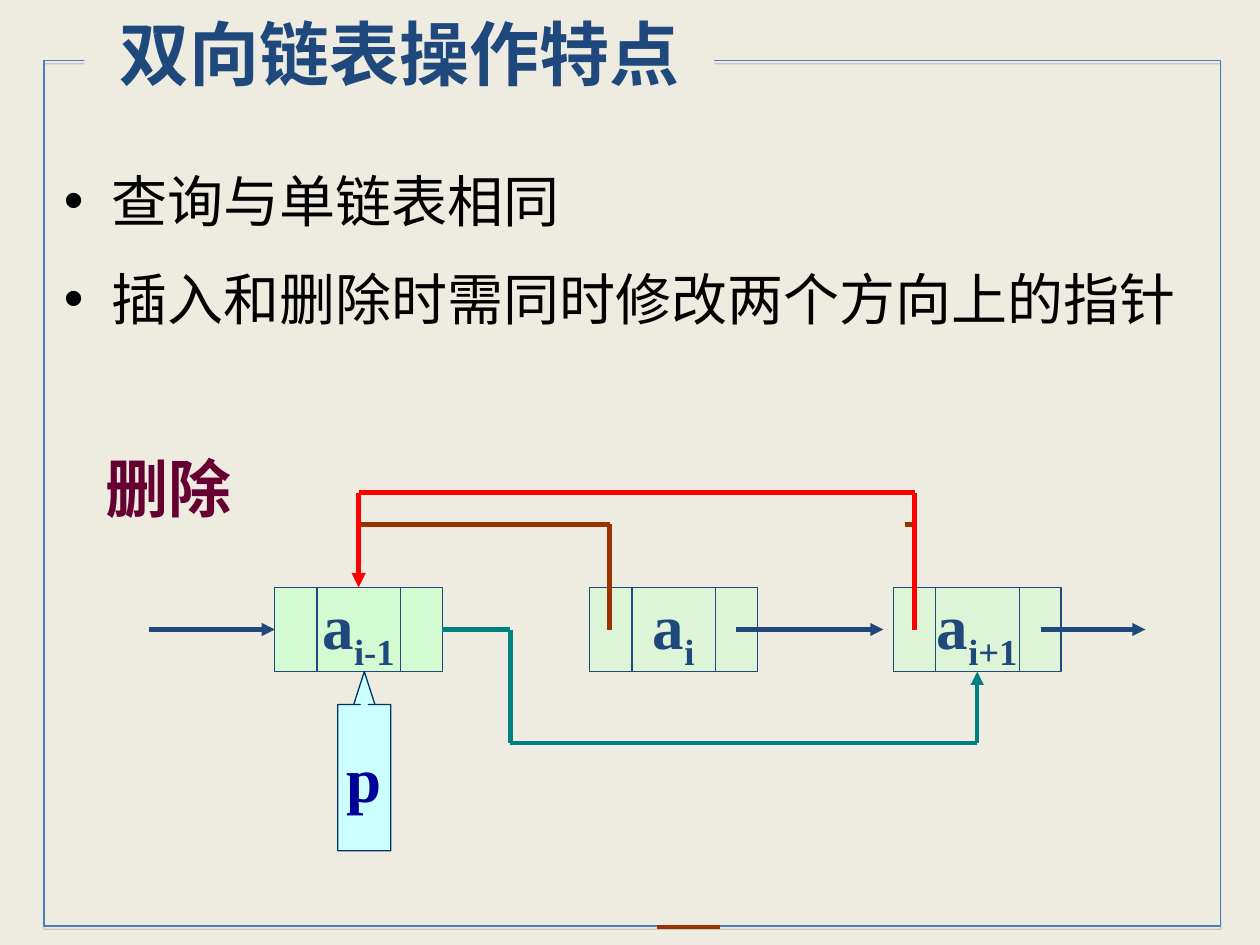
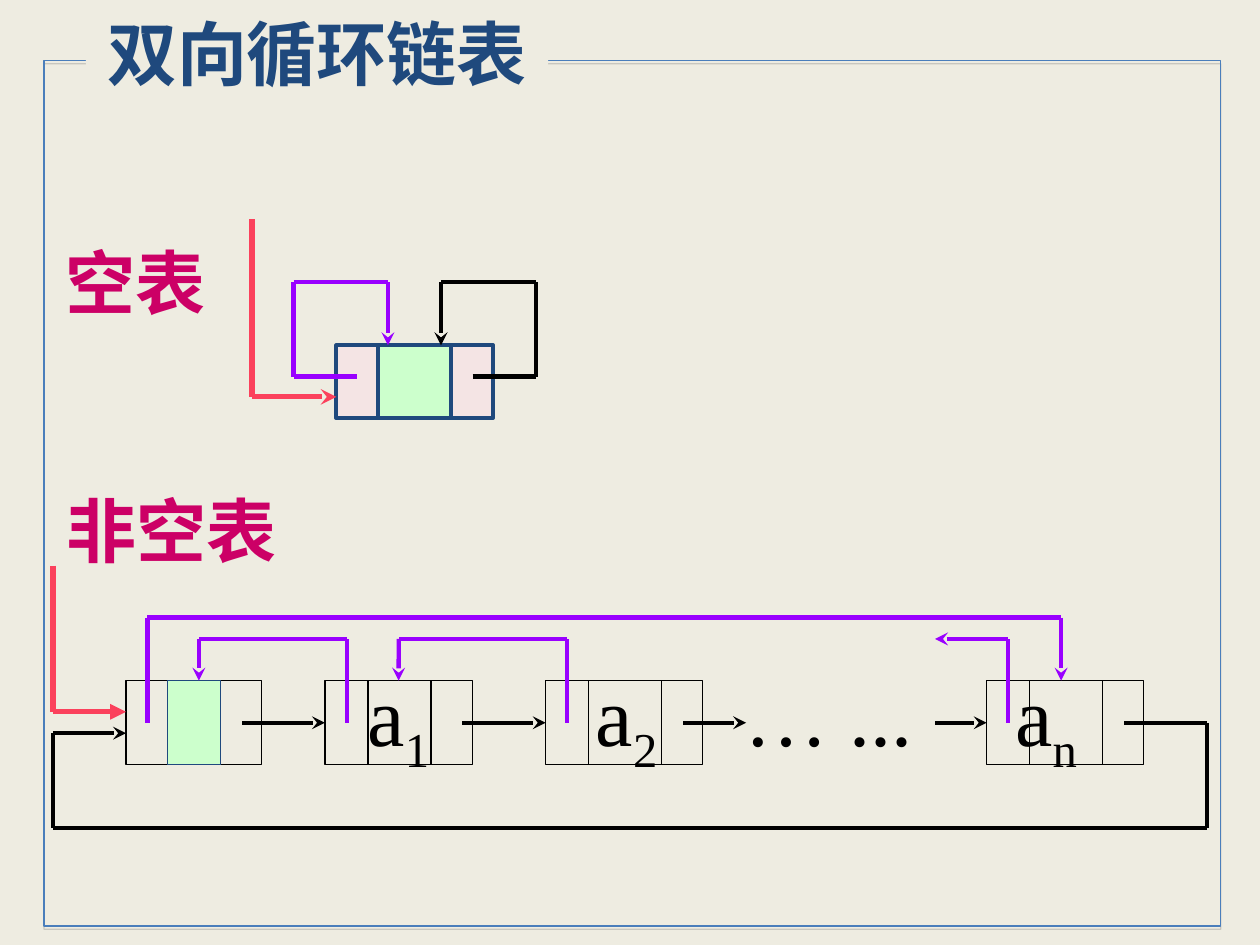
"""Two slides on doubly linked lists: deleting a node, and circular lists."""
import lxml.etree
import pptx
import pptx.dml.color
import pptx.enum.shapes
import pptx.enum.text
import pptx.oxml.ns
import pptx.util

Cm = pptx.util.Cm
Pt = pptx.util.Pt
qn = pptx.oxml.ns.qn
rgb = pptx.dml.color.RGBColor.from_string
SHAPE = pptx.enum.shapes.MSO_SHAPE
ALIGN = pptx.enum.text.PP_ALIGN
STRAIGHT = pptx.enum.shapes.MSO_CONNECTOR.STRAIGHT

PAPER, NAVY, BLACK = "EEECE1", "1F497D", "000000"
PURPLE, ROSE, BROWN = "9900FF", "FB415C", "993300"
FONT = "Times New Roman"


def write(shape, text, size, colour, bold=True, subscript="", align=ALIGN.LEFT):
    """Put one line of text, with an optional subscript, into a shape."""
    shape.text_frame.word_wrap = True
    line = shape.text_frame.paragraphs[0]
    line.text = text
    line.alignment = align
    if subscript:
        lower = line.add_run()
        lower.text = subscript
        lower.font._element.set("baseline", "-25000")
    for run in line.runs:
        run.font.name = FONT
        run.font.size = Pt(size)
        run.font.bold = bold
        run.font.color.rgb = rgb(colour)


def route(slide, points, colour, width, head=None, start=None, end=None):
    """Draw straight connectors through the points, with a head on the last."""
    legs = []
    for (x1, y1), (x2, y2) in zip(points, points[1:]):
        leg = slide.shapes.add_connector(STRAIGHT, Cm(x1), Cm(y1), Cm(x2), Cm(y2))
        leg.line.color.rgb = rgb(colour)
        leg.line.width = Pt(width)
        lxml.etree.SubElement(leg.element.spPr, qn("a:effectLst"))
        legs.append(leg)
    if head:
        outline = legs[-1].element.spPr.find(qn("a:ln"))
        lxml.etree.SubElement(outline, qn("a:tailEnd"), type=head)
    if start:
        legs[0].begin_connect(*start)
    if end:
        legs[-1].end_connect(*end)


deck = pptx.Presentation()
deck.slide_width = Cm(25.4)
deck.slide_height = Cm(19.05)
blank = deck.slide_layouts[6]
blank.background.fill.solid()
blank.background.fill.fore_color.rgb = rgb(PAPER)
deletion = deck.slides.add_slide(blank)
circular = deck.slides.add_slide(blank)

frame = deletion.shapes.add_shape(SHAPE.RECTANGLE, Cm(0.89), Cm(1.22), Cm(23.72), Cm(17.45))
frame.fill.background()
frame.line.color.rgb = rgb("4A7EBB")
frame.line.width = Pt(0.75)
frame.shadow.inherit = False
frame_shadow = lxml.etree.SubElement(
    frame.element.spPr.find(qn("a:effectLst")), qn("a:outerShdw"),
    blurRad="0", dist="22860", dir="5400000")
shadow_colour = lxml.etree.SubElement(frame_shadow, qn("a:srgbClr"), val="808080")
lxml.etree.SubElement(shadow_colour, qn("a:alpha"), val="35000")
frame.element.nvSpPr.cNvPr.set("id", "20")
blank.shapes.element.append(frame.element)

for slide, heading, left, width, height in [
    (deletion, "双向链表操作特点", 1.7, 12.7, 2.26),
    (circular, "双向循环链表", 1.73, 9.32, 3.68),
]:
    title = slide.shapes.add_textbox(Cm(left), Cm(0.08), Cm(width), Cm(height))
    title.fill.solid()
    title.fill.fore_color.rgb = rgb(PAPER)
    write(title, heading, 40, NAVY, align=ALIGN.CENTER)

for slide, caption, left, top, size, colour in [
    (deletion, "删除", 1.88, 8.94, 36, "660033"),
    (circular, "空表", 1.07, 4.7, 40, "CC0066"),
    (circular, "非空表", 1.09, 9.7, 40, "CC0066"),
]:
    label = slide.shapes.add_textbox(Cm(left), Cm(top), Cm(5), Cm(1.96))
    write(label, caption, size, colour)

features = deletion.shapes.add_textbox(Cm(1.04), Cm(2.9), Cm(23.5), Cm(5))
features.text_frame.word_wrap = True
features.text_frame.text = "查询与单链表相同\n插入和删除时需同时修改两个方向上的指针"
for index, feature in enumerate(features.text_frame.paragraphs):
    feature.line_spacing = 1.25
    feature.space_before = Pt(8 * index)
    properties = feature._p.get_or_add_pPr()
    properties.set("marL", str(Cm(0.96)))
    properties.set("indent", str(-Cm(0.96)))
    lxml.etree.SubElement(properties, qn("a:buFont"), typeface="Arial")
    lxml.etree.SubElement(properties, qn("a:buChar"), char="•")
    for run in feature.runs:
        run.font.name = FONT
        run.font.size = Pt(32)
        run.font.color.rgb = rgb(BLACK)

node_top, node_height, node_width = 11.84, 1.7, 3.38
node_middle = node_top + node_height / 2
parts = []
for kind, left, top, width, height, fill, border, text, subscript, ink in [
    (SHAPE.RECTANGLE, 5.54, node_top, node_width, node_height, "D4FAD1", NAVY, "a", "i-1", NAVY),
    (SHAPE.RECTANGLE, 11.89, node_top, node_width, node_height, "DDF5D6", NAVY, "a", "i", NAVY),
    (SHAPE.RECTANGLE, 18.01, node_top, node_width, node_height, "DDF5D6", NAVY, "a", "i+1", NAVY),
    (SHAPE.UP_ARROW_CALLOUT, 6.81, 13.54, 1.07, 3.61, "CCFFFF", "003366", "p", "", "000099"),
]:
    part = deletion.shapes.add_shape(kind, Cm(left), Cm(top), Cm(width), Cm(height))
    part.shadow.inherit = False
    part.fill.solid()
    part.fill.fore_color.rgb = rgb(fill)
    part.line.color.rgb = rgb(border)
    part.line.width = Pt(0.75)
    write(part, text, 36, ink, subscript=subscript, align=ALIGN.CENTER)
    parts.append(part)
previous, current, following, pointer = parts
pointer.text_frame.word_wrap = False
for index, value in enumerate([0.15, 0.2, 0.62, 0.82]):
    pointer.adjustments[index] = value

for left in (5.54, 11.89, 18.01):
    for x in (left + 0.85, left + 2.54):
        route(deletion, [(x, node_top), (x, node_top + node_height)], NAVY, 0.75)

for x1, x2, target in [(3, 5.54, (previous, 1)), (14.83, 17.81, None), (20.98, 23.09, None)]:
    route(deletion, [(x1, node_middle), (x2, node_middle)], NAVY, 2.5, "triangle", end=target)
route(deletion, [(12.29, node_middle), (12.29, 10.57), (7.23, 10.57)], BROWN, 2.5)
route(deletion, [(18.24, 10.57), (18.44, 10.57)], BROWN, 2.5)
route(deletion, [(13.25, 18.69), (14.52, 18.69)], BROWN, 2.25)
route(deletion, [(8.92, node_middle), (10.29, node_middle), (10.29, 14.98), (19.7, 14.98),
                 (19.7, 13.54)], "008080", 2.5, "triangle", (previous, 3), (following, 2))
route(deletion, [(18.44, node_middle), (18.44, 9.93), (7.23, 9.93), (7.23, node_top)],
      "FF0000", 2.75, "triangle", end=(previous, 0))

ring_top, ring_height = 13.72, 1.7
ring_middle = ring_top + ring_height / 2
boxes = []
for left, top, width, height, fill, weight in [
    (2.54, ring_top, 2.74, ring_height, None, 0.75),
    (6.55, ring_top, 2.97, ring_height, None, 0.75),
    (11, ring_top, 3.17, ring_height, None, 0.75),
    (19.89, ring_top, 3.17, ring_height, None, 0.75),
    (3.38, ring_top, 1.07, ring_height, "CCFFCC", 0.75),
    (7.62, 6.96, 1.48, 1.47, "CCFFCC", 2.25),
    (9.1, 6.96, 0.84, 1.47, "F4E4E4", 2.25),
    (6.78, 6.96, 0.84, 1.47, "F4E4E4", 2.25),
]:
    box = circular.shapes.add_shape(SHAPE.RECTANGLE, Cm(left), Cm(top), Cm(width), Cm(height))
    box.shadow.inherit = False
    if fill:
        box.fill.solid()
        box.fill.fore_color.rgb = rgb(fill)
    else:
        box.fill.background()
    box.line.color.rgb = rgb(NAVY if fill else BLACK)
    box.line.width = Pt(weight)
    boxes.append(box)
first, second, last = boxes[1:4]

for x in (7.42, 8.69, 11.86, 13.34, 20.75, 22.23):
    route(circular, [(x, ring_top), (x, ring_top + ring_height)], BLACK, 0.75)
for text, subscript, left, width in [
    ("a", "1", 7.16, 2.5), ("a", "2", 11.76, 2.5), ("… ...", "", 14.76, 4.8), ("a", "n", 20.22, 2.5),
]:
    datum = circular.shapes.add_textbox(Cm(left), Cm(13.23), Cm(width), Cm(2.2))
    write(datum, text, 48, BLACK, bold=False, subscript=subscript)

for points, colour, target in [
    ([(4.88, ring_middle), (6.55, ring_middle)], BLACK, (first, 1)),
    ([(9.32, ring_middle), (11, ring_middle)], BLACK, (second, 1)),
    ([(13.77, ring_middle), (15.04, ring_middle)], BLACK, None),
    ([(18.85, ring_middle), (19.89, ring_middle)], BLACK, (last, 1)),
    ([(22.66, ring_middle), (24.33, ring_middle), (24.33, 16.69), (1.07, 16.69),
      (1.07, 14.78), (2.54, 14.78)], BLACK, None),
    ([(20.32, ring_middle), (20.32, 12.88), (18.85, 12.88)], PURPLE, None),
    ([(11.43, ring_middle), (11.43, 12.88), (8.04, 12.88), (8.04, ring_top)], PURPLE, (first, 0)),
    ([(6.99, ring_middle), (6.99, 12.88), (4.01, 12.88), (4.01, ring_top)], PURPLE, None),
    ([(2.97, ring_middle), (2.97, 12.45), (21.39, 12.45), (21.39, ring_top)], PURPLE, None),
    ([(9.53, 7.59), (10.8, 7.59), (10.8, 5.69), (8.89, 5.69), (8.89, 6.96)], BLACK, None),
    ([(7.19, 7.59), (5.92, 7.59), (5.92, 5.69), (7.82, 5.69), (7.82, 6.96)], PURPLE, None),
]:
    route(circular, points, colour, 2.5, "stealth", end=target)
route(circular, [(5.08, 4.42), (5.08, 8), (6.78, 8)], ROSE, 3, "stealth")
route(circular, [(1.07, 11.4), (1.07, 14.35), (2.54, 14.35)], ROSE, 3, "triangle")

deck.save("out.pptx")
